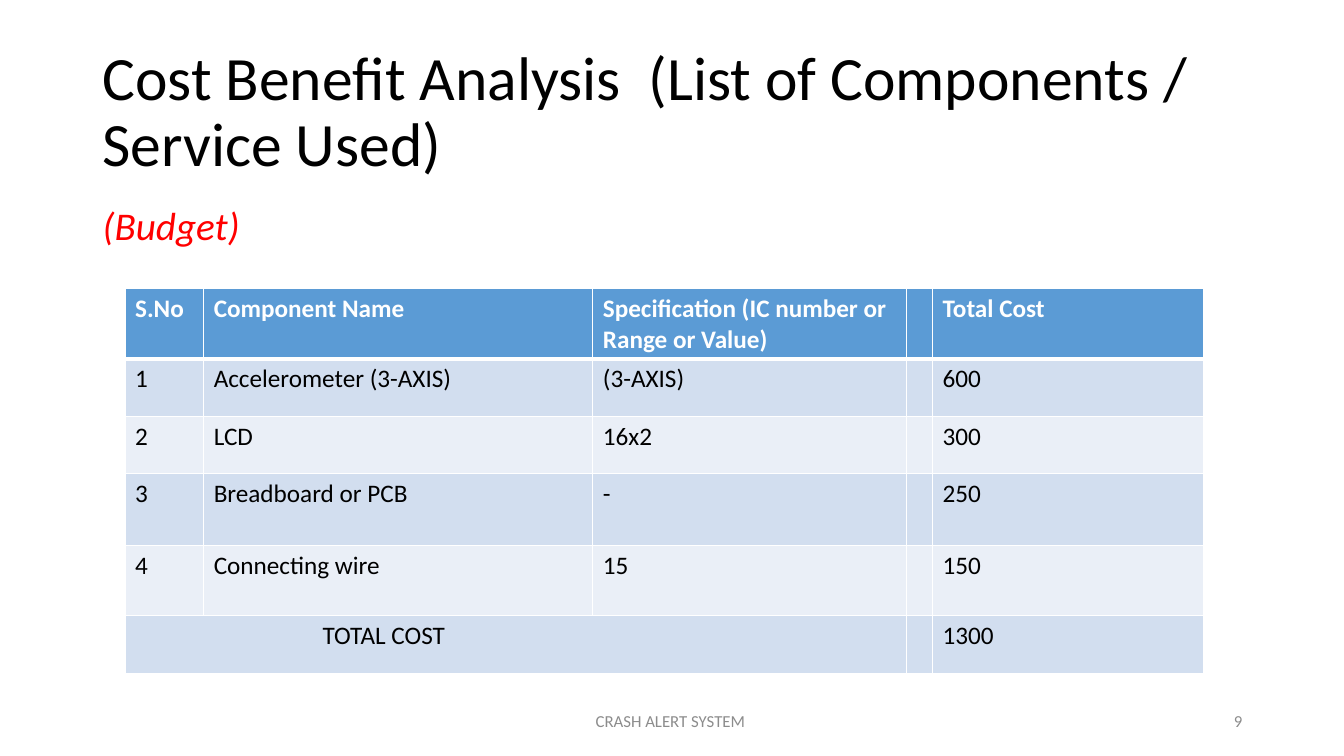
from dataclasses import dataclass

from lxml import etree
from pptx import Presentation
from pptx import util as u
from pptx.dml.color import RGBColor
from pptx.enum import text as t
from pptx.oxml import ns


@dataclass(frozen=True)
class Theme:
    font: str = "Calibri"
    ink: str = "000000"
    accent: str = "FF0000"
    muted: str = "8C8C8C"
    white: str = "FFFFFF"
    header: str = "5B9BD5"
    bands: tuple[str, str] = ("D2DEEF", "EAEFF7")
    title_size: int = 44
    subtitle_size: int = 28
    table_size: int = 18
    footer_size: int = 12
    rule: int = 1
    header_rule: int = 3


@dataclass(frozen=True)
class Label:
    wording: str
    left: float
    top: float
    width: float
    height: float
    size: int
    color: str
    align: t.PP_ALIGN = t.PP_ALIGN.LEFT
    anchor: t.MSO_ANCHOR = t.MSO_ANCHOR.MIDDLE
    italic: bool = False
    line_spacing: float = 1.0


THEME = Theme()

LABELS = [
    Label("Cost Benefit Analysis  (List of Components / Service Used)",
          0.92, 0.4, 11.5, 1.45, THEME.title_size, THEME.ink, line_spacing=0.9),
    Label("(Budget)", 0.92, 2, 11.5, 0.6, THEME.subtitle_size, THEME.accent,
          anchor=t.MSO_ANCHOR.TOP, italic=True, line_spacing=0.9),
    Label("CRASH ALERT SYSTEM", 4.4, 6.95, 4.5, 0.4, THEME.footer_size,
          THEME.muted, t.PP_ALIGN.CENTER),
    Label("9", 9.42, 6.95, 3, 0.4, THEME.footer_size, THEME.muted,
          t.PP_ALIGN.RIGHT),
]

BUDGET = [
    ("S.No", "Component Name", "Specification (IC number or Range or Value)",
     "", "Total Cost"),
    ("1", "Accelerometer (3-AXIS)", "(3-AXIS)", "", "600"),
    ("2", "LCD", "16x2", "", "300"),
    ("3", "Breadboard or PCB", "-", "", "250"),
    ("4", "Connecting wire", "15", "", "150"),
    ("TOTAL COST", "", "", "", "1300"),
]
COLUMN_WIDTHS = (0.78, 3.86, 3.11, 0.26, 2.69)
ROW_HEIGHTS = (0.7, 0.57, 0.57, 0.71, 0.7, 0.57)
TOTAL_INDENT = 1.96


def style_font(font, size: int, color: str, bold: bool = False,
               italic: bool = False) -> None:
    font.name = THEME.font
    font.size = u.Pt(size)
    font.bold = bold
    font.italic = italic
    font.color.rgb = RGBColor.from_string(color)


def add_label(slide, label: Label) -> None:
    box = slide.shapes.add_textbox(u.Inches(label.left), u.Inches(label.top),
                                   u.Inches(label.width), u.Inches(label.height))
    frame = box.text_frame
    frame.word_wrap = True
    frame.vertical_anchor = label.anchor
    frame.text = label.wording
    paragraph = frame.paragraphs[0]
    paragraph.alignment = label.align
    paragraph.line_spacing = label.line_spacing
    style_font(paragraph.runs[0].font, label.size, label.color,
               italic=label.italic)


def add_borders(cell, top: int, bottom: int) -> None:
    """Draw white cell edges; top and bottom are widths in points."""
    properties = cell._tc.get_or_add_tcPr()
    edges = {"lnL": THEME.rule, "lnR": THEME.rule, "lnT": top, "lnB": bottom}
    for tag, width in edges.items():
        line = etree.SubElement(properties, ns.qn(f"a:{tag}"), w=str(u.Pt(width)))
        fill = etree.SubElement(line, ns.qn("a:solidFill"))
        etree.SubElement(fill, ns.qn("a:srgbClr"), val=THEME.white)


def style_cell(cell, row: int) -> None:
    is_header = row == 0
    add_borders(cell,
                top=THEME.header_rule if row == 1 else THEME.rule,
                bottom=THEME.header_rule if is_header else THEME.rule)
    cell.fill.solid()
    cell.fill.fore_color.rgb = RGBColor.from_string(
        THEME.header if is_header else THEME.bands[(row - 1) % 2])
    paragraph = cell.text_frame.paragraphs[0]
    for part in (paragraph, *paragraph.runs):
        style_font(part.font, THEME.table_size,
                   THEME.white if is_header else THEME.ink, bold=is_header)


def add_budget(slide) -> None:
    budget = slide.shapes.add_table(
        len(BUDGET), len(COLUMN_WIDTHS), u.Inches(1.24), u.Inches(2.86),
        u.Inches(sum(COLUMN_WIDTHS)), u.Inches(sum(ROW_HEIGHTS))).table
    budget.horz_banding = False
    for column, width in zip(budget.columns, COLUMN_WIDTHS):
        column.width = u.Inches(width)
    for row, (entries, height) in enumerate(zip(BUDGET, ROW_HEIGHTS)):
        budget.rows[row].height = u.Inches(height)
        for column, entry in enumerate(entries):
            cell = budget.cell(row, column)
            cell.text = entry
            style_cell(cell, row)
    total_row = len(BUDGET) - 1
    total = budget.cell(total_row, 0)
    total.merge(budget.cell(total_row, 2))
    total.margin_left = u.Inches(TOTAL_INDENT)


def main() -> None:
    deck = Presentation()
    deck.slide_width = u.Inches(13.33)
    deck.slide_height = u.Inches(7.5)
    slide = deck.slides.add_slide(deck.slide_layouts[6])
    for label in LABELS:
        add_label(slide, label)
    add_budget(slide)
    deck.save("out.pptx")


if __name__ == "__main__":
    main()
